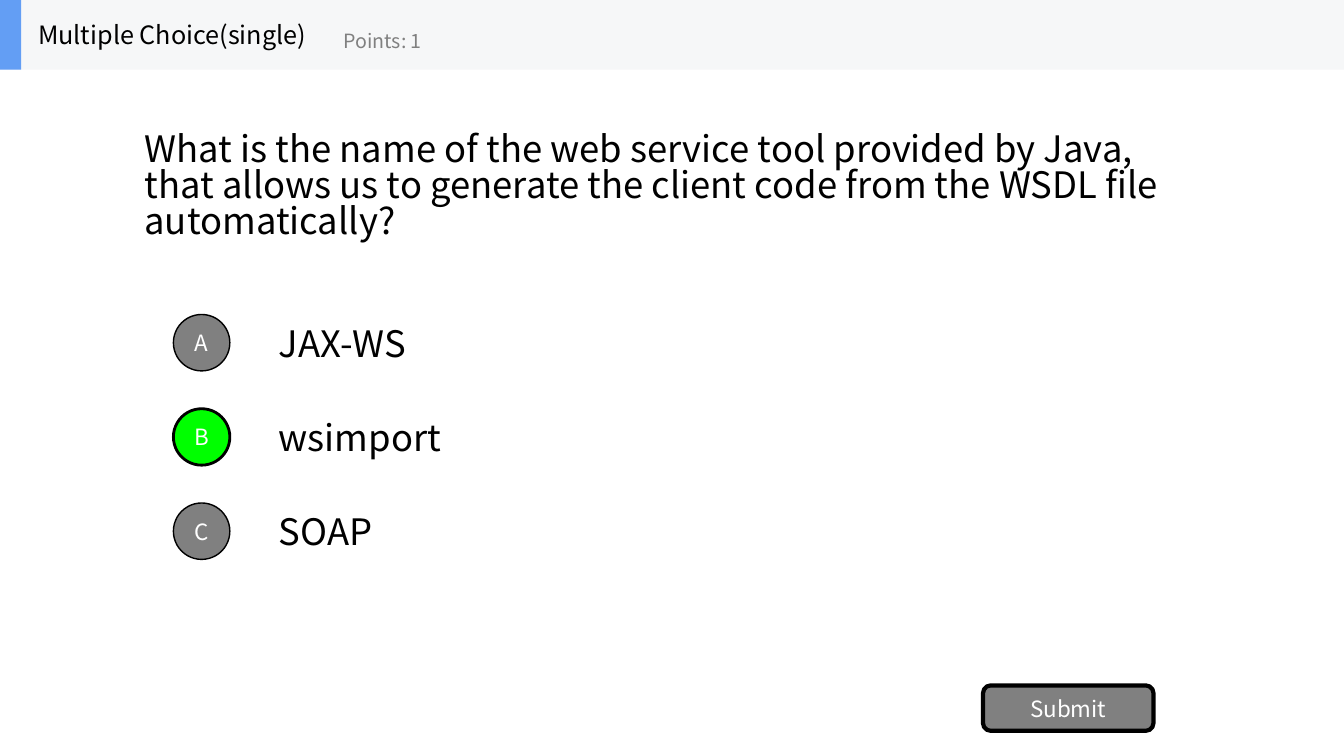
from pptx import Presentation
from pptx.dml.color import RGBColor
from pptx.enum.shapes import MSO_SHAPE as SHAPE
from pptx.enum.text import MSO_ANCHOR as ANCHOR, MSO_AUTO_SIZE as AUTO, PP_ALIGN as ALIGN
from pptx.util import Inches, Pt

FONT = "Noto Sans CJK SC"
WIDTH, HEIGHT = 13.33, 7.5
HEADER = 0.69
ROW_TOP, ROW_STEP, ROW_HEIGHT = 3.05, 0.935, 0.7
BADGE = 0.56
ANSWERS = ["JAX-WS", "wsimport", "SOAP"]
CORRECT = "wsimport"


def color(value):
    """Turn a hex string into a colour."""
    return RGBColor.from_string(value)


def place(sp, box):
    """Set a shape's left, top, width and height in inches."""
    sp.left, sp.top, sp.width, sp.height = map(Inches, box)


def write(sp, text, size, ink, align=ALIGN.LEFT, wrap=True):
    """Put one formatted, vertically centred paragraph into a shape."""
    tf = sp.text_frame
    tf.text = text
    tf.auto_size = AUTO.NONE
    tf.word_wrap = wrap
    tf.vertical_anchor = ANCHOR.MIDDLE
    p = tf.paragraphs[0]
    p.alignment = align
    font = p.runs[0].font
    font.name, font.size = FONT, Pt(size)
    font.color.rgb = color(ink)
    return p


def add_label(slide, box, text, size, ink="000000", wrap=True):
    """Add a left-aligned text box."""
    sp = slide.shapes.add_textbox(*map(Inches, box))
    write(sp, text, size, ink, wrap=wrap)


def add_block(slide, kind, box, fill, line=0):
    """Add a filled shape, outlined in black when a line width is given."""
    sp = slide.shapes.add_shape(kind, *map(Inches, box))
    sp.shadow.inherit = False
    sp.fill.solid()
    sp.fill.fore_color.rgb = color(fill)
    if line:
        sp.line.color.rgb = color("000000")
        sp.line.width = Pt(line)
    else:
        sp.line.fill.background()
    return sp


def add_button(slide, kind, box, text, fill, line):
    """Add a shape with a centred white caption."""
    sp = add_block(slide, kind, box, fill, line)
    tf = sp.text_frame
    tf.margin_left = tf.margin_right = tf.margin_top = tf.margin_bottom = 0
    write(sp, text, 16, "FFFFFF", ALIGN.CENTER)


def add_question(slide, text):
    """Format the title placeholder as the question."""
    title = slide.shapes.title
    place(title, (WIDTH * 0.1, HEADER, WIDTH * 0.8, 2.34))
    write(title, text, 26, "000000").line_spacing = 0.83


def add_answer(slide, row, text):
    """Add one answer with its lettered badge."""
    top = ROW_TOP + row * ROW_STEP
    add_label(slide, (WIDTH * 0.2, top, WIDTH * 0.7, ROW_HEIGHT), text, 26)
    fill, line = ("00FF00", 2) if text == CORRECT else ("808080", 1)
    box = (1.72, top + (ROW_HEIGHT - BADGE) / 2, BADGE, BADGE)
    add_button(slide, SHAPE.OVAL, box, "ABC"[row], fill, line)


def add_header(slide):
    """Add the top band with the question type and its points."""
    add_block(slide, SHAPE.RECTANGLE, (0, 0, WIDTH, HEADER), "F6F7F8")
    add_block(slide, SHAPE.RECTANGLE, (0, 0, 0.21, HEADER), "639EF4")
    add_label(slide, (0.28, 0, 2.9, HEADER), "Multiple Choice(single)", 18, wrap=False)
    add_label(slide, (3.31, 0.12, 2.5, 0.56), "Points: 1", 14, "808080", wrap=False)


def main():
    """Build and save the quiz slide."""
    prs = Presentation()
    prs.slide_width, prs.slide_height = Inches(WIDTH), Inches(HEIGHT)
    slide = prs.slides.add_slide(prs.slide_layouts[5])
    add_question(slide, "What is the name of the web service tool provided by Java, "
                        "that allows us to generate the client code from the WSDL file "
                        "automatically?")
    for row, text in enumerate(ANSWERS):
        add_answer(slide, row, text)
    add_button(slide, SHAPE.ROUNDED_RECTANGLE, (9.75, 6.8, 1.69, 0.45), "Submit", "808080", 3)
    add_header(slide)
    prs.save("out.pptx")


if __name__ == "__main__":
    main()
